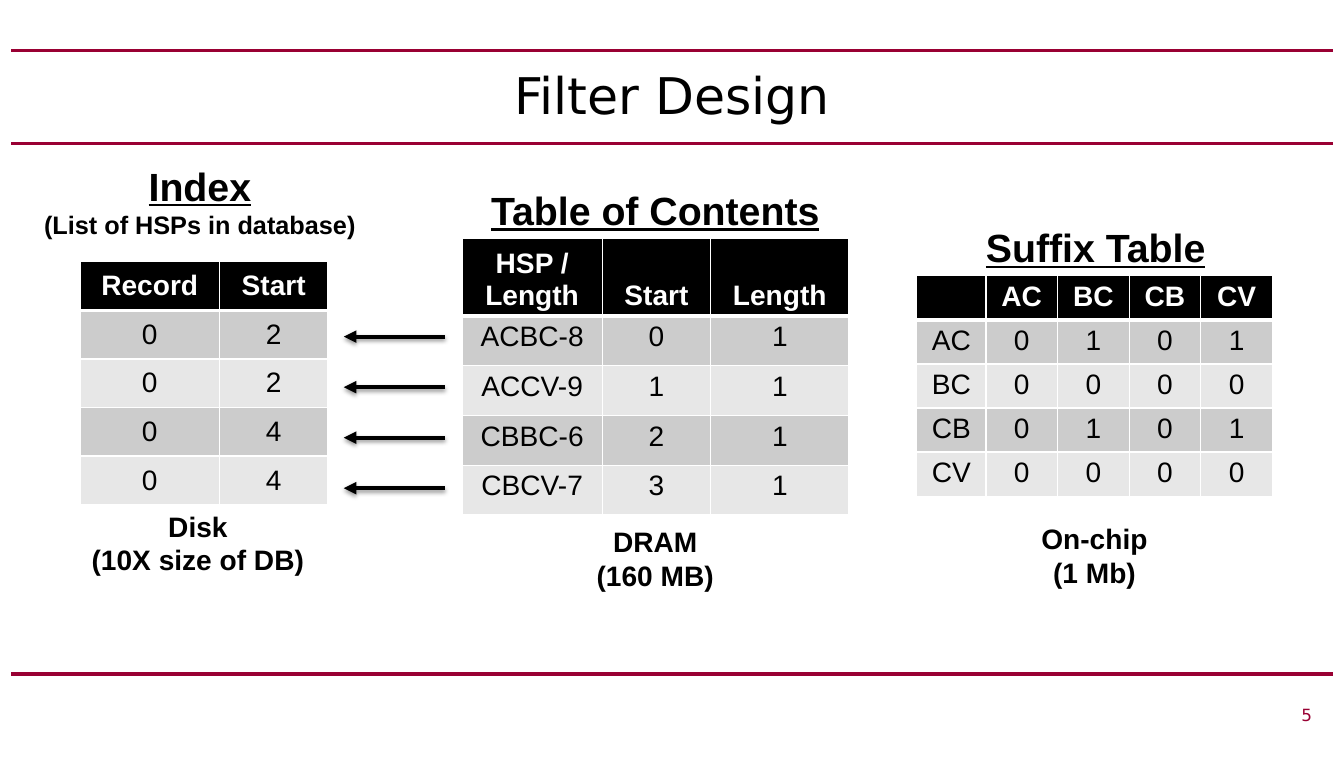
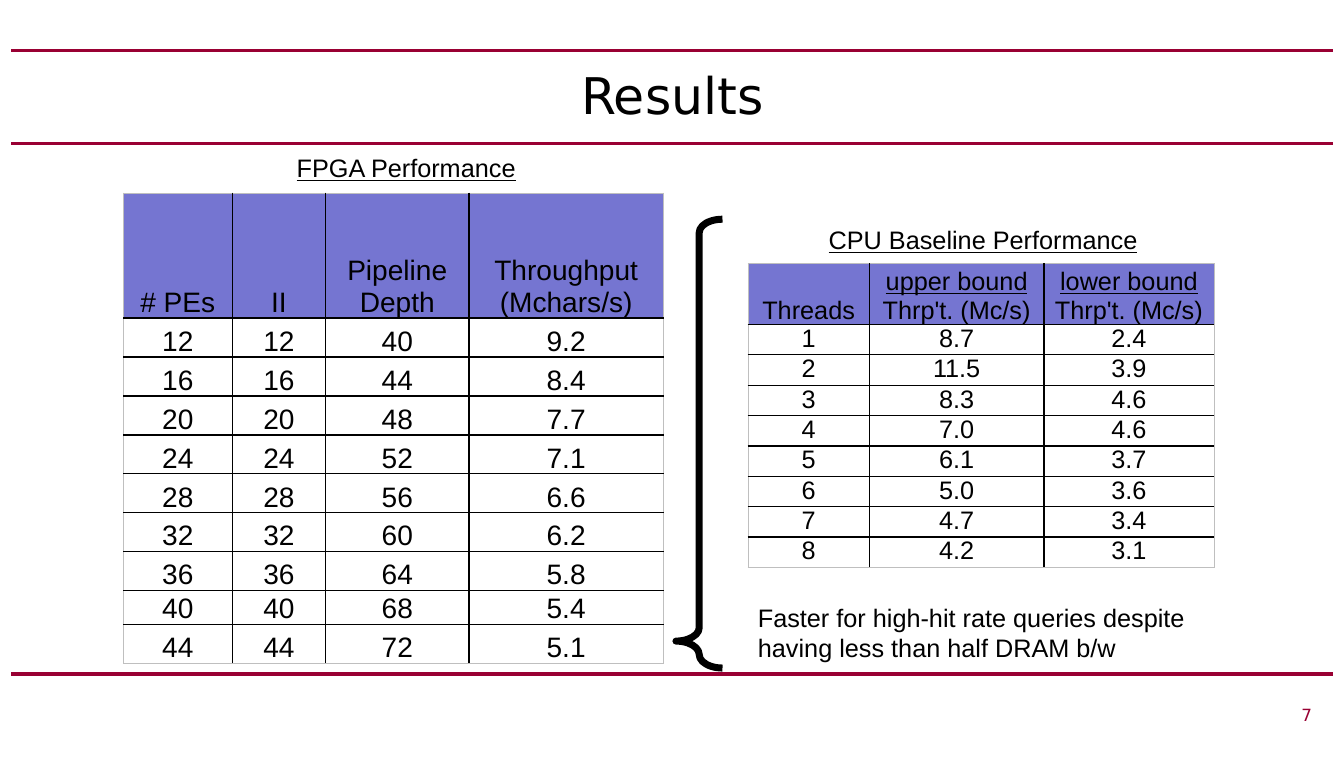
from dataclasses import dataclass, field

from lxml.etree import SubElement
from pptx import Presentation
from pptx.dml.color import RGBColor
from pptx.enum.shapes import MSO_CONNECTOR as Connector, MSO_SHAPE as Shape
from pptx.enum.text import MSO_ANCHOR as Anchor, PP_ALIGN as Align
from pptx.oxml import parse_xml
from pptx.oxml.ns import nsdecls, qn
from pptx.util import Cm, Pt


# Theme
@dataclass(frozen=True)
class Theme:
    black: str = "000000"
    white: str = "FFFFFF"
    crimson: str = "990033"
    violet: str = "7575D1"
    frame: str = "BFBFBF"
    bands: tuple = ("CCCCCC", "E7E7E7")
    rule: float = 2.25
    arrow: float = 3
    brace: float = 5
    # Style: font, size, colour, bold, underline
    styles: dict = field(default_factory=lambda: {
        "title": ("DejaVu Sans", 36, "000000", False, False),
        "number": ("DejaVu Sans", 12, "990033", False, False),
        "heading": ("Arial", 28, "000000", True, True),
        "caption": ("Arial", 20, "000000", True, False),
        "subhead": ("Arial", 18, "000000", True, False),
        "column": ("Arial", 20, "FFFFFF", True, False),
        "large": ("Arial", 20, "000000", False, False),
        "body": ("Arial", 18, "000000", False, False),
        "underlined": ("Arial", 18, "000000", False, True),
    })


THEME = Theme()

# Shared frame, in centimetres
SLIDE_SIZE = (33.78, 19.05)
RULE_X = (0.28, 33.5)
RULE_YS = (1.27, 3.61, 16.94)
TITLE_BOX = (1.7, 1.27, 30.4, 2.21)
NUMBER_BOX = (9.58, 17.58, 23.65, 0.84)

# Table looks: header and body style, anchors, insets and edges
BANDED = dict(head="column", body="large", fill=THEME.black, bands=THEME.bands,
              inset=(0.25, 0.13), inner=(THEME.white, 1),
              outer=(THEME.white, 1), under_head=(THEME.white, 3))
RULED = dict(head="large", body="large", fill=THEME.violet, bands=None,
             inset=(0.18, 0), inner=(THEME.black, 1),
             outer=(THEME.frame, 0.5), under_head=(THEME.black, 1))
RULED_SMALL = {**RULED, "head": "body", "body": "body", "inset": (0.15, 0)}


def bound_header(bound):
    return [(bound, "underlined"), ("Thrp't. (Mc/s)", "body")]


# Content: tables hold position, column widths, row heights, anchors and cells
FILTER_DESIGN = dict(
    title="Filter Design", number="5",
    tables=[
        dict(look=BANDED, at=(23.04, 6.93), cols=[1.74] + [1.8] * 4,
             rows=[1.04] * 5, anchors=(Anchor.TOP, Anchor.TOP), cells=[
                 ["", "AC", "BC", "CB", "CV"],
                 ["AC", "0", "1", "0", "1"],
                 ["BC", "0", "0", "0", "0"],
                 ["CB", "0", "1", "0", "1"],
                 ["CV", "0", "0", "0", "0"]]),
        dict(look=BANDED, at=(11.61, 5.99), cols=[3.53, 2.72, 3.48],
             rows=[1.8] + [1.25] * 4, anchors=(Anchor.BOTTOM, Anchor.TOP), cells=[
                 ["HSP / Length", "Start", "Length"],
                 ["ACBC-8", "0", "1"],
                 ["ACCV-9", "1", "1"],
                 ["CBBC-6", "2", "1"],
                 ["CBCV-7", "3", "1"]]),
        dict(look=BANDED, at=(2.01, 6.58), cols=[3.51, 2.72],
             rows=[1.22] * 5, anchors=(Anchor.MIDDLE, Anchor.MIDDLE), cells=[
                 ["Record", "Start"],
                 ["0", "2"], ["0", "2"], ["0", "4"], ["0", "4"]]),
    ],
    labels=[
        ((24.49, 5.49, 6.1, 1.45), [("Suffix Table", "heading")]),
        ((12.04, 4.55, 8.86, 1.45), [("Table of Contents", "heading")]),
        ((0.81, 3.94, 8.43, 2.64), [("Index", "heading"),
                                    ("(List of HSPs in database)", "subhead")]),
        ((25.91, 12.98, 3.2, 1.96), [("On-chip", "caption"), ("(1 Mb)", "caption")]),
        ((14.73, 13.06, 3.48, 1.96), [("DRAM", "caption"), ("(160 MB)", "caption")]),
        ((2.03, 12.67, 5.89, 1.96), [("Disk", "caption"),
                                     ("(10X size of DB)", "caption")]),
    ])

RESULTS = dict(
    title="Results", number="7",
    tables=[
        dict(look=RULED, at=(3.1, 4.85), cols=[2.74, 2.34, 3.61, 4.88],
             rows=[3.14] + [0.98] * 7 + [0.8, 0.98],
             anchors=(Anchor.BOTTOM, Anchor.BOTTOM), cells=[
                 ["# PEs", "II", [("Pipeline", "large"), ("Depth", "large")],
                  "Throughput (Mchars/s)"],
                 ["12", "12", "40", "9.2"],
                 ["16", "16", "44", "8.4"],
                 ["20", "20", "48", "7.7"],
                 ["24", "24", "52", "7.1"],
                 ["28", "28", "56", "6.6"],
                 ["32", "32", "60", "6.2"],
                 ["36", "36", "64", "5.8"],
                 ["40", "40", "68", "5.4"],
                 ["44", "44", "72", "5.1"]]),
        dict(look=RULED_SMALL, at=(18.8, 6.63), cols=[3.05, 4.39, 4.27],
             rows=[1.42] + [0.71] * 8, anchors=(Anchor.BOTTOM, Anchor.TOP), cells=[
                 ["Threads", bound_header("upper bound"), bound_header("lower bound")],
                 ["1", "8.7", "2.4"],
                 ["2", "11.5", "3.9"],
                 ["3", "8.3", "4.6"],
                 ["4", "7.0", "4.6"],
                 ["5", "6.1", "3.7"],
                 ["6", "5.0", "3.6"],
                 ["7", "4.7", "3.4"],
                 ["8", "4.2", "3.1"]]),
    ],
    labels=[
        ((6.3, 3.71, 7.82, 1.02), [("FPGA Performance", "underlined")]),
        ((19.63, 5.51, 10.16, 1.02), [("CPU Baseline Performance", "underlined")]),
    ])

LINK_X, LINK_TOP, LINK_STEP, LINK_COUNT = (11.18, 8.64), 8.46, 1.27, 4
BRACE_BOX, BRACE_BENDS = (16.99, 5.51, 1.17, 11.28), (0.57, 0.94)
NOTE_BOX = (18.8, 15.01, 12.24, 1.8)
NOTE = "Faster for high-hit rate queries despite having less than half DRAM b/w"


# Text
def lengths(values):
    return [Cm(value) for value in values]


def write(frame, paragraphs, align):
    for index, (text, style) in enumerate(paragraphs):
        para = frame.paragraphs[0] if index == 0 else frame.add_paragraph()
        para.alignment = align
        span = para.add_run()
        span.text = text
        name, size, colour, bold, underline = THEME.styles[style]
        formats = dict(name=name, size=Pt(size), bold=bold, underline=underline)
        for key, value in formats.items():
            setattr(span.font, key, value)
        span.font.color.rgb = RGBColor.from_string(colour)


def add_text(page, at, paragraphs, align=Align.CENTER, anchor=Anchor.TOP, wrap=True):
    frame = page.shapes.add_textbox(*lengths(at)).text_frame
    frame.word_wrap = wrap
    frame.vertical_anchor = anchor
    write(frame, paragraphs, align)


# Lines
def add_line(page, start, end, colour, width):
    line = page.shapes.add_connector(Connector.STRAIGHT, *lengths(start + end))
    line.line.color.rgb = RGBColor.from_string(colour)
    line.line.width = Pt(width)
    effects = SubElement(line._element.spPr, qn("a:effectLst"))
    return line, effects


def add_arrow(page, start, end):
    arrow, effects = add_line(page, start, end, THEME.black, THEME.arrow)
    SubElement(arrow.line._get_or_add_ln(), qn("a:tailEnd"), type="triangle")
    shadow = SubElement(effects, qn("a:outerShdw"), blurRad=str(Pt(3.1)),
                        dist=str(Pt(1.6)), dir="5400000", rotWithShape="0")
    tint = SubElement(shadow, qn("a:srgbClr"), val=THEME.black)
    SubElement(tint, qn("a:alpha"), val="38000")


# Tables
def set_borders(cell, edges):
    for index, (side, (colour, width)) in enumerate(edges.items()):
        border = parse_xml(
            f'<a:ln{side} {nsdecls("a")} w="{Pt(width)}"><a:solidFill>'
            f'<a:srgbClr val="{colour}"/></a:solidFill></a:ln{side}>')
        cell._tc.get_or_add_tcPr().insert(index, border)


def add_table(page, look, at, cols, rows, anchors, cells):
    size = (sum(cols), sum(rows))
    table = page.shapes.add_table(len(rows), len(cols), *lengths(at + size)).table
    table.first_row = table.horz_banding = False
    for column, width in zip(table.columns, cols):
        column.width = Cm(width)
    for row, height in zip(table.rows, rows):
        row.height = Cm(height)
    side, end = lengths(look["inset"])
    inner, outer, under_head = look["inner"], look["outer"], look["under_head"]
    last_row, last_col = len(rows) - 1, len(cols) - 1

    for r, values in enumerate(cells):
        style = look["body"] if r else look["head"]
        bands = look["bands"]
        fill = look["fill"] if r == 0 else bands and bands[(r - 1) % len(bands)]
        for c, value in enumerate(values):
            cell = table.cell(r, c)
            formats = dict(margin_left=side, margin_right=side, margin_top=end,
                           margin_bottom=end, vertical_anchor=anchors[r > 0])
            for key, setting in formats.items():
                setattr(cell, key, setting)
            if fill:
                cell.fill.solid()
                cell.fill.fore_color.rgb = RGBColor.from_string(fill)
            else:
                cell.fill.background()
            above = outer if r == 0 else under_head if r == 1 else inner
            below = under_head if r == 0 else outer if r == last_row else inner
            set_borders(cell, dict(L=inner if c else outer,
                                   R=outer if c == last_col else inner,
                                   T=above, B=below))
            paragraphs = [(value, style)] if isinstance(value, str) else value
            write(cell.text_frame, paragraphs, Align.CENTER)


# Slides
def add_page(deck, content, wrap):
    page = deck.slides.add_slide(deck.slide_layouts[6])
    left, right = RULE_X
    for y in RULE_YS:
        add_line(page, (left, y), (right, y), THEME.crimson, THEME.rule)
    add_text(page, TITLE_BOX, [(content["title"], "title")], anchor=Anchor.MIDDLE)
    add_text(page, NUMBER_BOX, [(content["number"], "number")], align=Align.RIGHT)
    for table in content["tables"]:
        add_table(page, **table)
    for at, paragraphs in content["labels"]:
        add_text(page, at, paragraphs, wrap=wrap)
    return page


def add_brace(page):
    brace = page.shapes.add_shape(Shape.LEFT_BRACE, *lengths(BRACE_BOX))
    brace.shadow.inherit = False
    brace.fill.background()
    brace.line.color.rgb = RGBColor.from_string(THEME.black)
    brace.line.width = Pt(THEME.brace)
    for index, bend in enumerate(BRACE_BENDS):
        brace.adjustments[index] = bend


def main():
    deck = Presentation()
    deck.slide_width, deck.slide_height = lengths(SLIDE_SIZE)

    design = add_page(deck, FILTER_DESIGN, wrap=False)
    start, end = LINK_X
    for index in range(LINK_COUNT):
        y = LINK_TOP + index * LINK_STEP
        add_arrow(design, (start, y), (end, y))

    results = add_page(deck, RESULTS, wrap=True)
    add_brace(results)
    add_text(results, NOTE_BOX, [(NOTE, "body")], align=Align.LEFT)

    deck.save("out.pptx")


if __name__ == "__main__":
    main()
